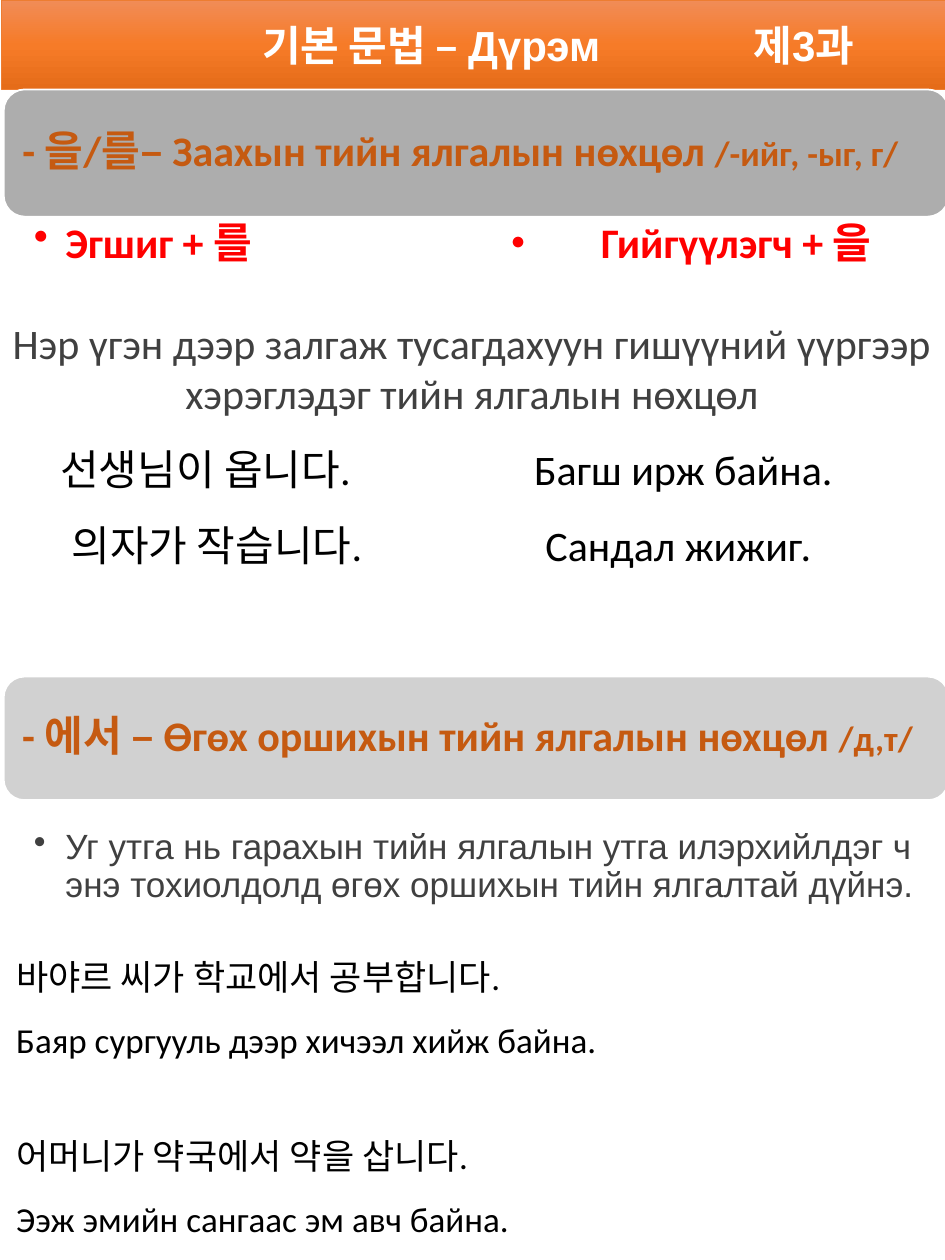
from dataclasses import dataclass

from lxml.etree import SubElement
from pptx import Presentation
from pptx.dml.color import RGBColor
from pptx.enum.shapes import MSO_SHAPE as Shape
from pptx.enum.text import MSO_ANCHOR as Anchor, MSO_AUTO_SIZE as AutoSize, PP_ALIGN as Align
from pptx.oxml.ns import qn
from pptx.util import Inches, Pt


@dataclass(frozen=True)
class Theme:
    heading: str = "C55A11"
    accent: str = "FF0000"
    muted: str = "404040"
    text: str = "000000"
    white: str = "FFFFFF"
    panel: str = "A5A5A5"
    bar_line: str = "ED7D31"
    bar_stops: tuple = ((0, "F18C57"), (50, "F67B28"), (100, "E56C19"))
    large: int = 24
    small: int = 20
    body_font: str = "Calibri"
    plain_font: str = "Arial"
    bullet_font: str = "Times New Roman"


THEME = Theme()


def box(left, top, width, height):
    return [Inches(value) for value in (left, top, width, height)]


def add_run(paragraph, text, color, size=THEME.large, font=THEME.body_font, bold=False):
    run = paragraph.add_run()
    run.text = text
    run.font.name = font
    run.font.size = Pt(size)
    run.font.bold = bold
    run.font.color.rgb = RGBColor.from_string(color)


def set_tabs(paragraph, *positions):
    tabs = SubElement(paragraph._p.get_or_add_pPr(), qn("a:tabLst"))
    for position in positions:
        SubElement(tabs, qn("a:tab"), pos=str(Inches(position)), algn="l")


def set_line(shape, color, width):
    shape.line.color.rgb = RGBColor.from_string(color)
    shape.line.width = Pt(width)


def add_title(slide):
    title = slide.shapes.title
    title.left, title.top, title.width, title.height = box(0.01, 0, 7.5, 0.71)
    title.fill.gradient()
    title.fill.gradient_angle = 270
    stops = title._element.spPr.find(qn("a:gradFill")).find(qn("a:gsLst"))
    for stop in list(stops):
        stops.remove(stop)
    for percent, color in THEME.bar_stops:
        stop = SubElement(stops, qn("a:gs"), pos=str(percent * 1000))
        SubElement(stop, qn("a:srgbClr"), val=color)
    set_line(title, THEME.bar_line, 0.5)
    frame = title.text_frame
    frame.auto_size = AutoSize.NONE
    frame.vertical_anchor = Anchor.MIDDLE
    paragraph = frame.paragraphs[0]
    paragraph.alignment = Align.LEFT
    paragraph.line_spacing = 1.0
    set_tabs(paragraph, 1.97, 5.87)
    add_run(paragraph, "\t기본 문법 – Дүрэм\t제3과", THEME.white,
            font=THEME.plain_font, bold=True)


def add_panel(slide, top, height, opacity, heading, endings):
    panel = slide.shapes.add_shape(Shape.ROUNDED_RECTANGLE, *box(0.03, top, 7.5, height))
    panel.shadow.inherit = False
    panel.fill.solid()
    panel.fill.fore_color.rgb = RGBColor.from_string(THEME.panel)
    color = panel._element.spPr.find(qn("a:solidFill"))[0]
    SubElement(color, qn("a:alpha"), val=str(opacity * 1000))
    set_line(panel, THEME.white, 1)
    frame = panel.text_frame
    frame.word_wrap = True
    frame.vertical_anchor = Anchor.MIDDLE
    frame.margin_left = frame.margin_right = Inches(0.1)
    frame.margin_top = frame.margin_bottom = Inches(0.1)
    paragraph = frame.paragraphs[0]
    paragraph.alignment = Align.LEFT
    paragraph.line_spacing = 0.9
    add_run(paragraph, heading, THEME.heading, bold=True)
    add_run(paragraph, endings, THEME.heading, THEME.small, bold=True)


def add_text_box(slide, left, top, width, height):
    frame = slide.shapes.add_textbox(*box(left, top, width, height)).text_frame
    frame.word_wrap = True
    return frame


def add_bullet(slide, top, height, right_margin):
    """Add a box with one bulleted paragraph and return the paragraph."""
    frame = add_text_box(slide, 0.03, top, 7.5, height)
    frame.margin_left, frame.margin_right = Inches(0.24), Inches(right_margin)
    frame.margin_top = frame.margin_bottom = Inches(0.03)
    paragraph = frame.paragraphs[0]
    paragraph.level = 1
    paragraph.line_spacing = 0.9
    properties = paragraph._p.get_or_add_pPr()
    properties.set("marL", str(Inches(0.25)))
    properties.set("indent", str(Inches(-0.25)))
    SubElement(properties, qn("a:buChar"), char="•")
    return paragraph


def add_rule(slide):
    """Explanation and two sentences with their translations."""
    frame = add_text_box(slide, 0, 2.47, 7.49, 2.12)
    frame.auto_size = AutoSize.SHAPE_TO_FIT_TEXT
    paragraph = frame.paragraphs[0]
    paragraph.alignment = Align.CENTER
    add_run(paragraph, "Нэр үгэн дээр залгаж тусагдахуун гишүүний "
            "үүргээр хэрэглэдэг тийн ялгалын нөхцөл", THEME.muted)
    for korean, mongolian, start in (
        ("선생님이 옵니다.", "Багш ирж байна.", 0.38),
        ("의자가 작습니다.", "Сандал жижиг.", 0.47),
    ):
        paragraph = frame.add_paragraph()
        paragraph.line_spacing = 1.5
        set_tabs(paragraph, start, start + 3.76)
        add_run(paragraph, f"\t{korean}\t{mongolian}", THEME.text)


def add_examples(slide):
    frame = add_text_box(slide, 0.03, 7.37, 7.49, 2.57)
    frame.auto_size = AutoSize.SHAPE_TO_FIT_TEXT
    lines = (
        ("바야르 씨가 학교에서 공부합니다.", 0),
        ("Баяр сургууль дээр хичээл хийж байна.", 0),
        ("어머니가 약국에서 약을 삽니다.", 30),
        ("Ээж эмийн сангаас эм авч байна.", 0),
    )
    for index, (text, space_before) in enumerate(lines):
        paragraph = frame.add_paragraph() if index else frame.paragraphs[0]
        paragraph.line_spacing = 1.5
        paragraph.space_before = Pt(space_before)
        add_run(paragraph, text, THEME.text, THEME.small)


def main():
    presentation = Presentation()
    presentation.slide_width, presentation.slide_height = Inches(7.5), Inches(10)
    slide = presentation.slides.add_slide(presentation.slide_layouts[5])
    add_title(slide)

    # Object case
    add_panel(slide, 0.71, 1.01, 90, "- 을/를– Заахын тийн ялгалын нөхцөл ", "/-ийг, -ыг, г/")
    endings = add_bullet(slide, 1.73, 0.48, 0.19)
    set_tabs(endings, 3.68, 3.99)
    add_run(endings, "Эгшиг + 를\t", THEME.accent, bold=True)
    add_run(endings, "•\t", THEME.accent, font=THEME.bullet_font, bold=True)
    add_run(endings, "Гийгүүлэгч + 을", THEME.accent, bold=True)
    add_rule(slide)

    # Locative case
    add_panel(slide, 5.37, 0.98, 50, "- 에서 – Өгөх оршихын тийн ялгалын нөхцөл ", "/д,т/")
    note = add_bullet(slide, 6.55, 0.82, 0.16)
    add_run(note, "Уг утга нь гарахын тийн ялгалын утга илэрхийлдэг ч "
            "энэ тохиолдолд өгөх оршихын тийн ялгалтай дүйнэ.",
            THEME.muted, THEME.small, THEME.plain_font)
    add_examples(slide)

    presentation.save("out.pptx")


if __name__ == "__main__":
    main()
